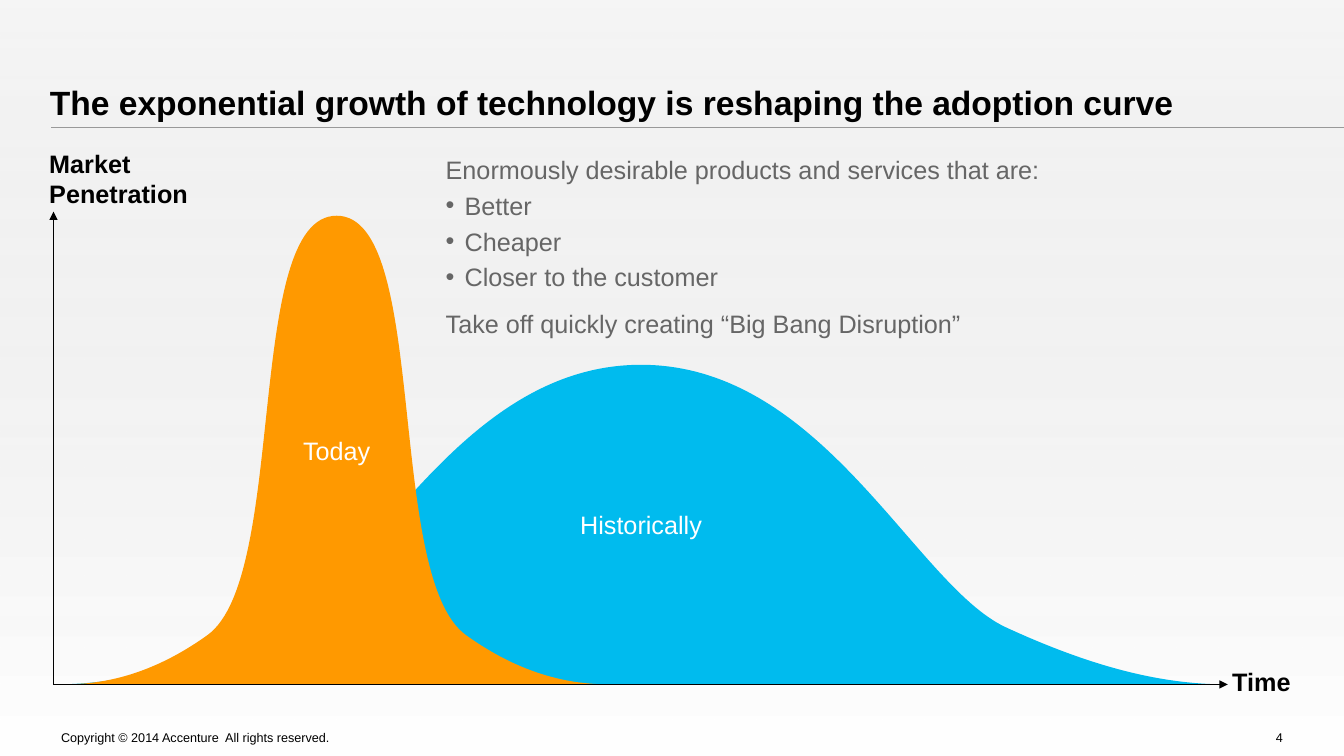
from lxml import etree
from pptx import Presentation
from pptx.dml.color import RGBColor
from pptx.enum.shapes import MSO_CONNECTOR, MSO_SHAPE
from pptx.enum.text import MSO_ANCHOR, PP_ALIGN
from pptx.oxml.ns import qn
from pptx.util import Pt


def rgb(value):
    return RGBColor.from_string(value)


def write(tf, text, size=18, color="000000", bold=False, align=PP_ALIGN.LEFT,
          before=0, bullet=False, first=True):
    p = tf.paragraphs[0] if first else tf.add_paragraph()
    p.alignment = align
    p.space_before = Pt(before)
    if bullet:
        pPr = p._p.get_or_add_pPr()
        pPr.set("marL", str(Pt(13.5)))
        pPr.set("indent", str(Pt(-13.5)))
        etree.SubElement(pPr, qn("a:buFont"), typeface="Arial")
        etree.SubElement(pPr, qn("a:buChar"), char="•")
    r = p.add_run()
    r.text = text
    r.font.name = "Arial"
    r.font.size = Pt(size)
    r.font.bold = bold
    r.font.color.rgb = rgb(color)


prs = Presentation()
prs.slide_width, prs.slide_height = Pt(960), Pt(540)
s = prs.slides.add_slide(prs.slide_layouts[5])

title = s.shapes.title
title.left, title.top, title.width, title.height = Pt(35.6), Pt(25.3), Pt(812.9), Pt(61.9)
tf = title.text_frame
tf.word_wrap = True
tf.vertical_anchor = MSO_ANCHOR.BOTTOM
tf.margin_left = tf.margin_right = tf.margin_top = tf.margin_bottom = 0
write(tf, "The exponential growth of technology is reshaping the adoption curve", size=24, bold=True)

wash = s.shapes.add_shape(MSO_SHAPE.RECTANGLE, 0, 0, prs.slide_width, prs.slide_height)
wash.shadow.inherit = False
wash.line.fill.background()
wash.fill.gradient()
wash.fill.gradient_angle = 270
for stop, color in zip(wash.fill.gradient_stops, ["D9D9D9", "FFFFFF"]):
    stop.color.rgb = rgb(color)
top_color = next(wash.element.iter(qn("a:srgbClr")))
etree.SubElement(top_color, qn("a:alpha"), val="25000")
title.element.addprevious(wash.element)

base = 488.9
curves = [
    ("Historically", "00BBEE", [(38.9, base), (83.5, base), (132.5, 478.1), (198, 447.8),
                                (262.8, 416.9), (328.3, 260.6), (457.9, 260.6)]),
    ("Today", "FF9900", [(43.2, base), (64.8, base), (102.2, 486.7), (148.3, 453.6),
                         (205.9, 411.8), (174.2, 154.1), (240.5, 154.1)]),
]
for name, color, half in curves:
    center = half[-1][0]
    controls = half + [(2 * center - x, y) for x, y in half[-2::-1]]
    fb = s.shapes.build_freeform(Pt(half[0][0]), Pt(base))
    fb.add_line_segments([(Pt(x), Pt(y)) for x, y in controls[1:]], close=True)
    sp = fb.convert_to_shape()
    segments = list(sp.element.iter(qn("a:lnTo")))
    for i in range(0, len(controls) - 1, 3):
        bezier = etree.Element(qn("a:cubicBezTo"))
        segments[i].addprevious(bezier)
        for segment in segments[i:i + 3]:
            bezier.append(segment[0])
            segment.getparent().remove(segment)
    sp.shadow.inherit = False
    sp.fill.solid()
    sp.fill.fore_color.rgb = rgb(color)
    sp.line.fill.background()
    sp.text_frame.vertical_anchor = MSO_ANCHOR.MIDDLE
    write(sp.text_frame, name, color="FFFFFF", align=PP_ALIGN.CENTER)

lines = [
    (36.5, 91.2, 960, 91.2, "999999", False),
    (38.2, base, 38.2, 151.2, "000000", True),
    (38.2, base, 877, base, "000000", True),
]
for x1, y1, x2, y2, color, arrow in lines:
    line = s.shapes.add_connector(MSO_CONNECTOR.STRAIGHT, Pt(x1), Pt(y1), Pt(x2), Pt(y2))
    line.line.color.rgb = rgb(color)
    line.line.width = Pt(1)
    if arrow:
        etree.SubElement(line.line._get_or_add_ln(), qn("a:tailEnd"), type="triangle")
    etree.SubElement(line.element.spPr, qn("a:effectLst"))

heading = dict(bold=True)
body = dict(color="666666")
item = dict(color="666666", before=4, bullet=True)
small = dict(size=9)
boxes = [
    (873.1, 472.3, 56.9, 28.8, False, [("Time", heading)]),
    (28.1, 102.2, 114.5, 51.1, False, [("Market", heading), ("Penetration", heading)]),
    (311.3, 106.6, 633.6, 163.4, True, [
        ("Enormously desirable products and services that are:", body),
        ("Better", item),
        ("Cheaper", item),
        ("Closer to the customer", item),
        ("Take off quickly creating “Big Bang Disruption”", dict(body, before=12)),
    ]),
    (36.5, 517.7, 426.2, 10.1, True, [("Copyright © 2014 Accenture  All rights reserved.", small)]),
    (865.8, 517.7, 57.6, 10.1, True, [("4", dict(small, align=PP_ALIGN.RIGHT))]),
]
for x, y, w, h, wrap, paragraphs in boxes:
    tf = s.shapes.add_textbox(Pt(x), Pt(y), Pt(w), Pt(h)).text_frame
    tf.word_wrap = wrap
    for i, (text, style) in enumerate(paragraphs):
        write(tf, text, first=i == 0, **style)

prs.save("out.pptx")
